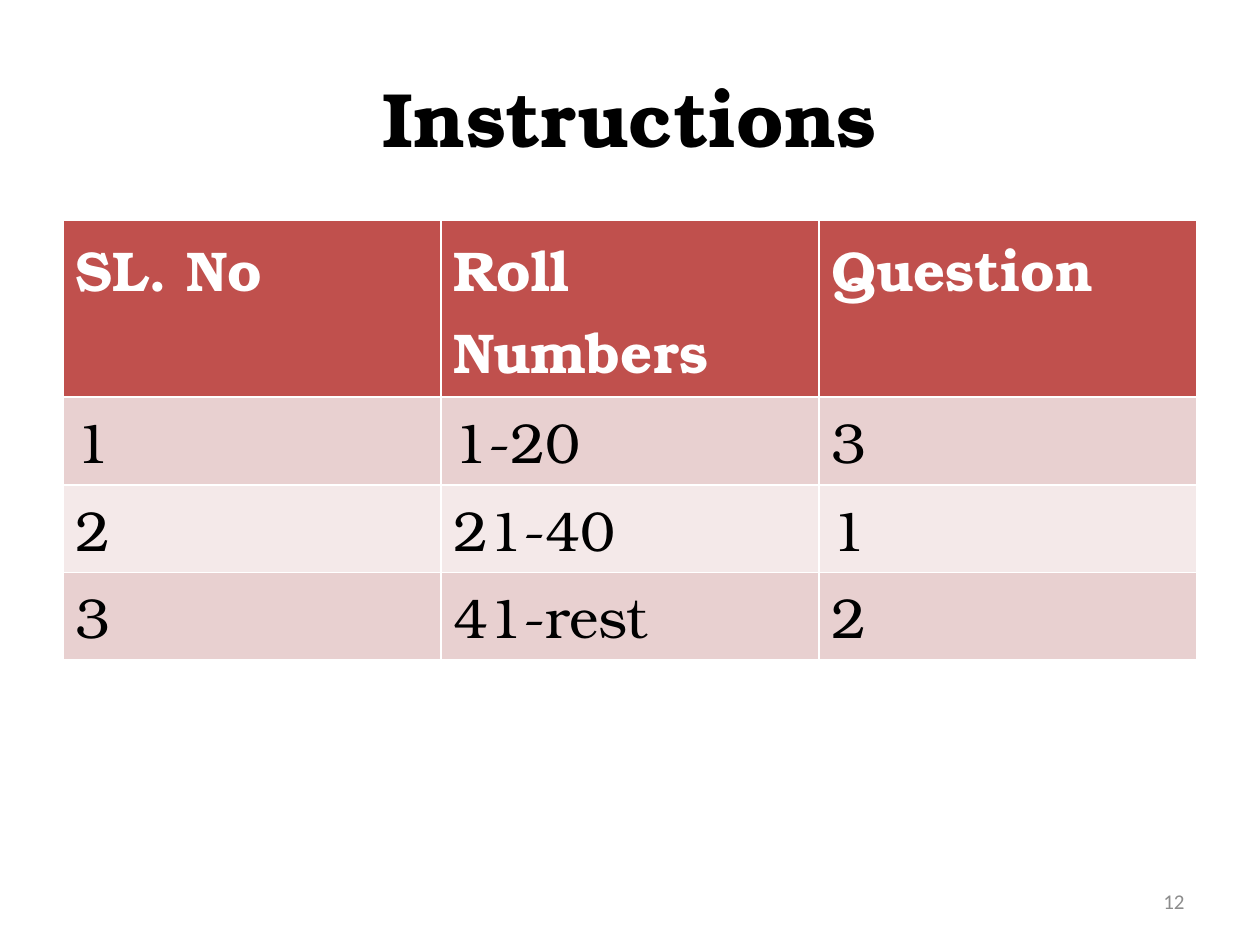
from pptx import Presentation
from pptx.dml.color import RGBColor
from pptx.enum.text import MSO_ANCHOR as Anchor, PP_ALIGN as Align
from pptx.util import Cm, Pt


def style_font(paragraph, face, size, color, bold=False):
    font = paragraph.font
    font.name, font.size, font.bold = face, Pt(size), bold
    font.color.rgb = RGBColor.from_string(color)


SERIF = "TeX Gyre Bonum"
ROWS = [
    ("SL. No", "Roll Numbers", "Question"),
    ("1", "1-20", "3"),
    ("2", "21-40", "1"),
    ("3", "41-rest", "2"),
]
ROW_FILLS = ["C0504D", "E8D0D0", "F4E9E9", "E8D0D0"]

prs = Presentation()
prs.slide_width, prs.slide_height = Cm(25.4), Cm(19.05)
slide = prs.slides.add_slide(prs.slide_layouts[5])

heading = slide.shapes.title
heading.left, heading.top = Cm(1.27), Cm(0.76)
heading.width, heading.height = Cm(22.86), Cm(3.18)
heading.text_frame.text = "Instructions"
heading.text_frame.vertical_anchor = Anchor.MIDDLE
heading.text_frame.paragraphs[0].alignment = Align.CENTER
style_font(heading.text_frame.paragraphs[0], SERIF, 44, "000000", True)

assignments = slide.shapes.add_table(
    len(ROWS), len(ROWS[0]), Cm(1.27), Cm(4.45), Cm(22.86), Cm(8.75)
).table
for r, (values, fill) in enumerate(zip(ROWS, ROW_FILLS)):
    is_header = r == 0
    assignments.rows[r].height = Cm(3.5 if is_header else 1.75)
    for c, value in enumerate(values):
        cell = assignments.cell(r, c)
        cell.text = value
        cell.fill.solid()
        cell.fill.fore_color.rgb = RGBColor.from_string(fill)
        style_font(cell.text_frame.paragraphs[0], SERIF, 32,
                   "FFFFFF" if is_header else "000000", is_header)

page_number = slide.shapes.add_textbox(Cm(18.2), Cm(17.65), Cm(5.93), Cm(1.02)).text_frame
page_number.word_wrap = True
page_number.vertical_anchor = Anchor.MIDDLE
page_number.text = "12"
page_number.paragraphs[0].alignment = Align.RIGHT
style_font(page_number.paragraphs[0], "Calibri", 12, "8C8C8C")

prs.save("out.pptx")
